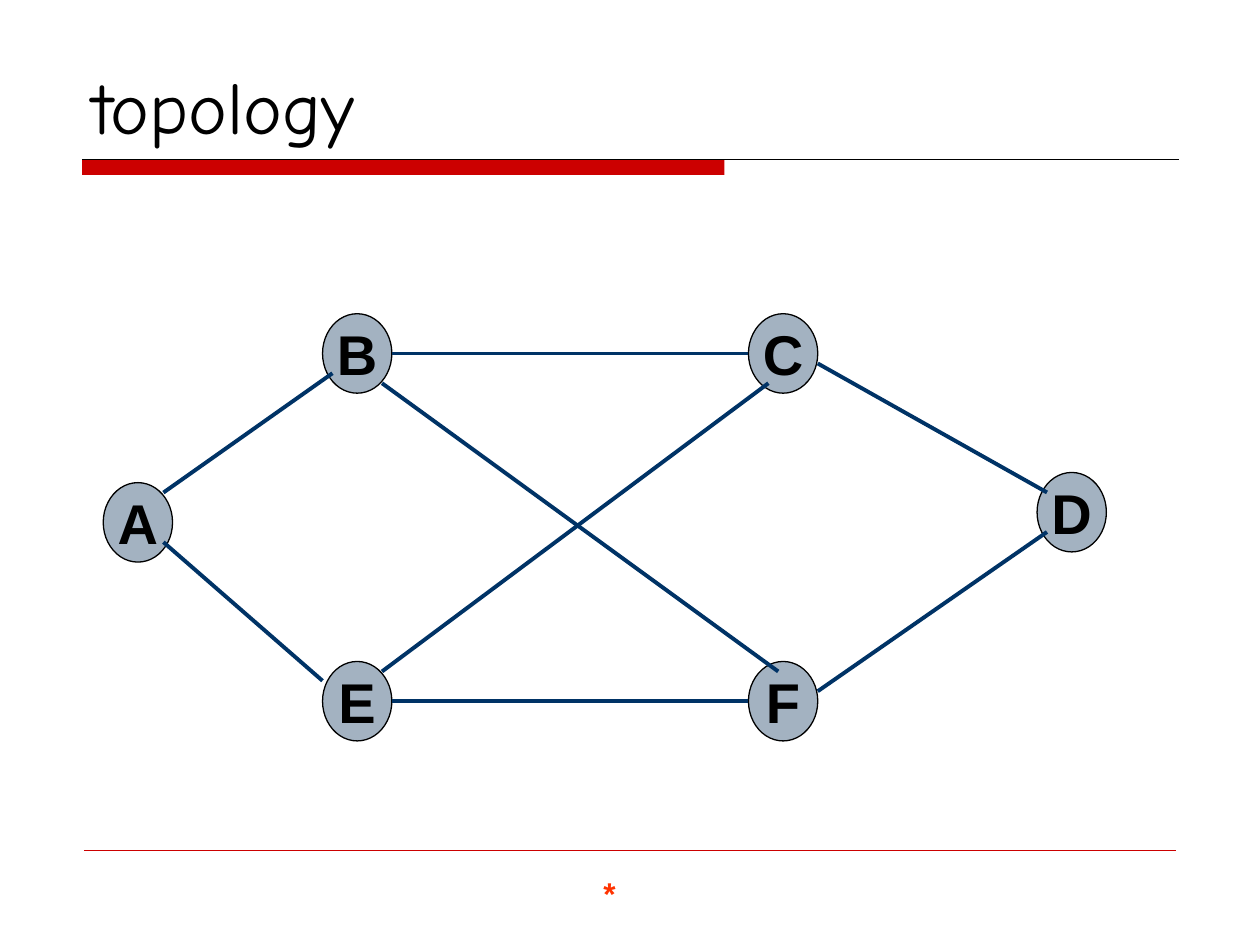
from pptx import Presentation
from pptx.dml.color import RGBColor
from pptx.enum.shapes import MSO_CONNECTOR as CONN, MSO_SHAPE as SHAPE
from pptx.enum.text import MSO_ANCHOR as ANCHOR, MSO_AUTO_SIZE as FIT, PP_ALIGN as ALIGN
from pptx.util import Pt
from lxml import etree

COLORS = {
    "red": "CC0000",
    "mark": "FF3300",
    "black": "000000",
    "node": "A3B2C1",
    "link": "003366",
}
A_NS = "http://schemas.openxmlformats.org/drawingml/2006/main"
NODE_W, NODE_H = 39.6, 45.4
LEFT, RIGHT, TOP, BOTTOM = 184.3, 427.7, 179.3, 378
NODES = {
    "A": (59, 275.8),
    "E": (LEFT, BOTTOM),
    "B": (LEFT, TOP),
    "F": (RIGHT, BOTTOM),
    "C": (RIGHT, TOP),
    "D": (592.6, 270),
}
LINKS = [
    ("A", (34.4, 5.7), "B", (5.7, 34)),
    ("A", (34.4, 34), "E", (0, 11)),
    ("E", (NODE_W, 22.7), "F", (0, 22.7)),
    ("B", (NODE_W, 22.7), "C", (0, 22.7)),
    ("F", (NODE_W, 17), "D", (5.7, 34)),
    ("C", (NODE_W, 28.4), "D", (5.7, 11.4)),
    ("B", (34, 39.7), "F", (17, 5.7)),
    ("E", (34, 5.7), "C", (11.4, 39.7)),
]


def color(name):
    return RGBColor.from_string(COLORS[name])


def style_text(tf, size, name, font="Arial", bold=True, align=ALIGN.LEFT):
    p = tf.paragraphs[0]
    p.alignment = align
    r = p.runs[0]
    r.font.size = Pt(size)
    r.font.name = font
    r.font.bold = bold
    r.font.color.rgb = color(name)


def add_line(s, start, end, name, width):
    line = s.shapes.add_connector(CONN.STRAIGHT, *map(Pt, start + end))
    line.line.color.rgb = color(name)
    line.line.width = Pt(width)
    etree.SubElement(line._element.spPr, f"{{{A_NS}}}effectLst")


def add_shape(s, kind, box, fill):
    sp = s.shapes.add_shape(kind, *map(Pt, box))
    sp.shadow.inherit = False
    sp.fill.solid()
    sp.fill.fore_color.rgb = color(fill)
    sp.line.fill.background()
    return sp


def add_node(s, label, x, y):
    sp = add_shape(s, SHAPE.OVAL, (x, y, NODE_W, NODE_H), "node")
    sp.line.color.rgb = color("black")
    sp.line.width = Pt(0.74)
    tf = sp.text_frame
    tf.word_wrap = False
    tf.vertical_anchor = ANCHOR.MIDDLE
    tf.text = label
    style_text(tf, 32, "black", align=ALIGN.CENTER)


def add_link(s, first, start, second, end):
    ends = [
        tuple(a + b for a, b in zip(NODES[node], offset))
        for node, offset in ((first, start), (second, end))
    ]
    add_line(s, *ends, "link", 2.24)


def set_title(s, text):
    sp = s.shapes.title
    sp.left, sp.top, sp.width, sp.height = map(Pt, (45.4, 23.8, 630, 64.8))
    tf = sp.text_frame
    tf.text = text
    tf.auto_size = FIT.NONE
    tf.word_wrap = True
    tf.vertical_anchor = ANCHOR.BOTTOM
    style_text(tf, 42, "black", "Comic Neue", False)


def add_mark(s, text):
    tf = s.shapes.add_textbox(*map(Pt, (337.7, 496, 54, 28.8))).text_frame
    tf.word_wrap = True
    tf.text = text
    tf.paragraphs[0].space_before = Pt(11.2)
    style_text(tf, 18, "mark")


def main():
    prs = Presentation()
    prs.slide_width, prs.slide_height = Pt(720), Pt(540)
    s = prs.slides.add_slide(prs.slide_layouts[5])
    add_shape(s, SHAPE.RECTANGLE, (47, 91.2, 367, 8.7), "red")
    add_line(s, (47, 91.2), (673.7, 91.2), "black", 0.74)
    add_line(s, (48, 486), (672, 486), "red", 0.26)
    add_mark(s, "*")
    set_title(s, "topology")
    for label, (x, y) in NODES.items():
        add_node(s, label, x, y)
    for link in LINKS:
        add_link(s, *link)
    prs.save("out.pptx")


main()
